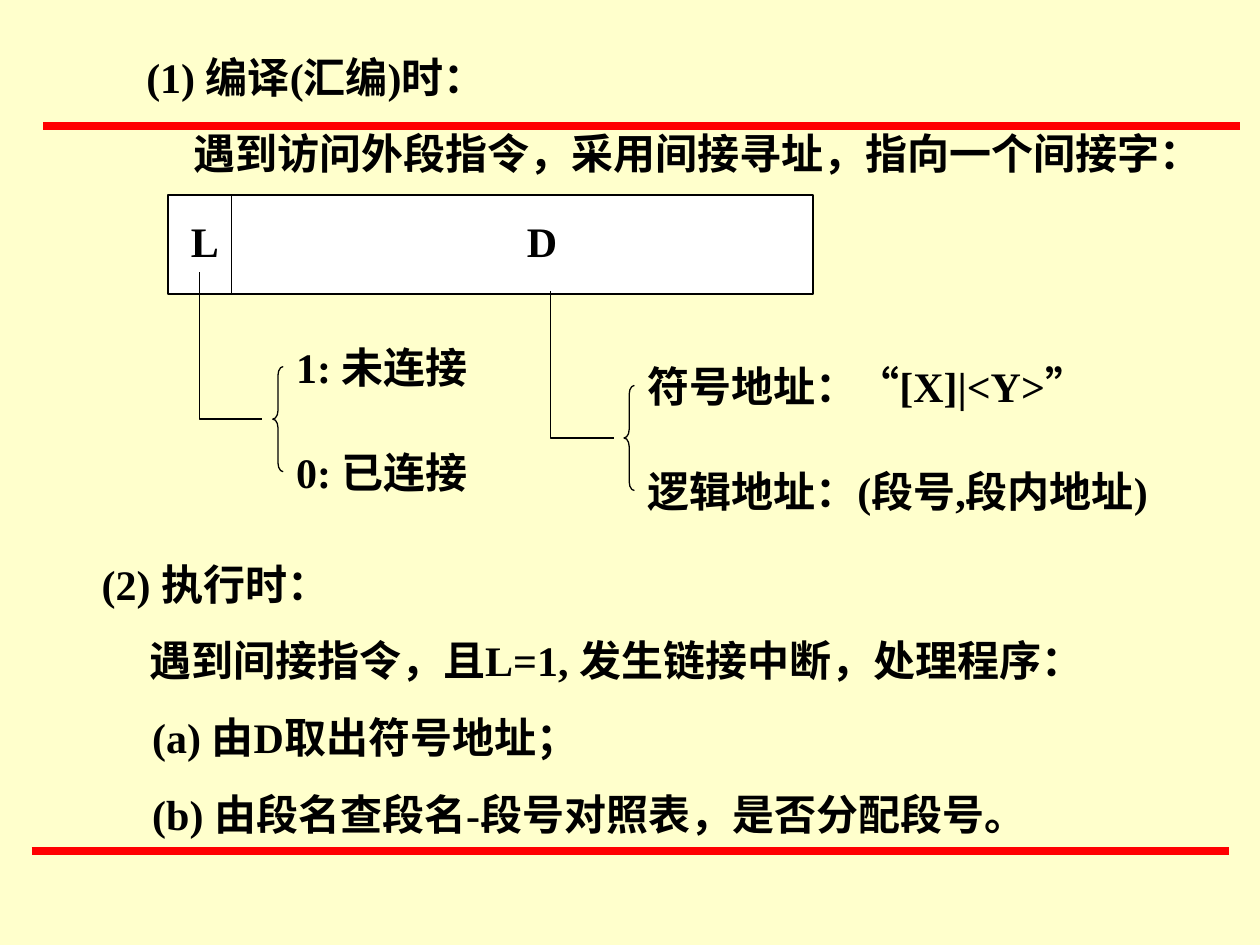
from lxml import etree
from pptx import Presentation
from pptx.dml.color import RGBColor
from pptx.enum.shapes import MSO_CONNECTOR, MSO_SHAPE
from pptx.oxml.ns import qn
from pptx.util import Cm, Pt

STRAIGHT = MSO_CONNECTOR.STRAIGHT
RECT = MSO_SHAPE.RECTANGLE
BRACE = MSO_SHAPE.LEFT_BRACE

CREAM = RGBColor(0xFF, 0xFF, 0xCC)
RED = RGBColor(0xFF, 0, 0)
BLACK = RGBColor(0, 0, 0)
WHITE = RGBColor(0xFF, 0xFF, 0xFF)

prs = Presentation()
prs.slide_width, prs.slide_height = Cm(25.4), Cm(19.05)
slide = prs.slides.add_slide(prs.slide_layouts[6])
slide.background.fill.solid()
slide.background.fill.fore_color.rgb = CREAM
shapes = slide.shapes


def add_line(x1, y1, x2, y2, color, width):
    line = shapes.add_connector(STRAIGHT, Cm(x1), Cm(y1), Cm(x2), Cm(y2))
    line.line.color.rgb = color
    line.line.width = Pt(width)
    etree.SubElement(line._element.spPr, qn("a:effectLst"))


def add_text(left, top, width, height, rows):
    """Add a text box; each row is a pair of left indent in cm and text."""
    box = shapes.add_textbox(Cm(left), Cm(top), Cm(width), Cm(height))
    frame = box.text_frame
    frame.word_wrap = True
    for i, (indent, words) in enumerate(rows):
        para = frame.add_paragraph() if i else frame.paragraphs[0]
        if i:
            para.space_before = Pt(15)
        if indent:
            para._p.get_or_add_pPr().set("marL", str(Cm(indent)))
        run = para.add_run()
        run.text = words
        run.font.name = "Times New Roman"
        run.font.size = Pt(24)
        run.font.bold = True
        run.font.color.rgb = BLACK


# Red rules
add_line(0.64, 17.15, 24.77, 17.15, RED, 4.5)
add_line(0.87, 2.54, 25, 2.54, RED, 4.5)

# Compile time
add_text(2.7, 0.91, 23.5, 2.82, [
    (0, "(1) 编译(汇编)时："),
    (0.96, "遇到访问外段指令，采用间接寻址，指向一个间接字："),
])

# Indirect word with its fields L and D
word = shapes.add_shape(RECT, Cm(3.39), Cm(3.93), Cm(13), Cm(2))
word.shadow.inherit = False
word.fill.solid()
word.fill.fore_color.rgb = WHITE
word.line.color.rgb = BLACK
word.line.width = Pt(0.75)
add_line(4.66, 3.93, 4.66, 5.93, BLACK, 0.75)
add_text(3.6, 4.22, 0.85, 1.27, [(0, "L")])
add_text(10.37, 4.22, 1.7, 1.27, [(0, "D")])

# Meaning of each field: start of the lead, then (width, height, text) per value
notes = [
    (4.02, 5.49, [(4.23, 1.27, "1: 未连接"), (4.23, 1.27, "0: 已连接")]),
    (11.1, 5.87, [(9.74, 2.29, "符号地址：“[X]|<Y>”"),
                  (11.43, 2.29, "逻辑地址：(段号,段内地址)")]),
]
for x, y, values in notes:
    path = shapes.build_freeform(Cm(x), Cm(y))
    path.add_line_segments(
        [(Cm(x), Cm(y + 2.96)), (Cm(x + 1.27), Cm(y + 2.96))], close=False)
    lead = path.convert_to_shape()
    brace = shapes.add_shape(
        BRACE, Cm(x + 1.48), Cm(y + 1.9), Cm(0.21), Cm(2.12))
    brace.adjustments[0] = 0.83
    for item in (lead, brace):
        item.shadow.inherit = False
        item.fill.background()
        item.line.color.rgb = BLACK
        item.line.width = Pt(0.75)
    for i, (width, height, words) in enumerate(values):
        add_text(x + 1.7, y + 1.27 + 2.12 * i, width, height, [(0, words)])

# Run time
add_text(1.8, 11.13, 23.5, 5.92, [
    (0, "(2) 执行时："),
    (0.96, "遇到间接指令，且L=1, 发生链接中断，处理程序："),
    (1.02, "(a) 由D取出符号地址；"),
    (1.02, "(b) 由段名查段名-段号对照表，是否分配段号。"),
])

prs.save("out.pptx")
